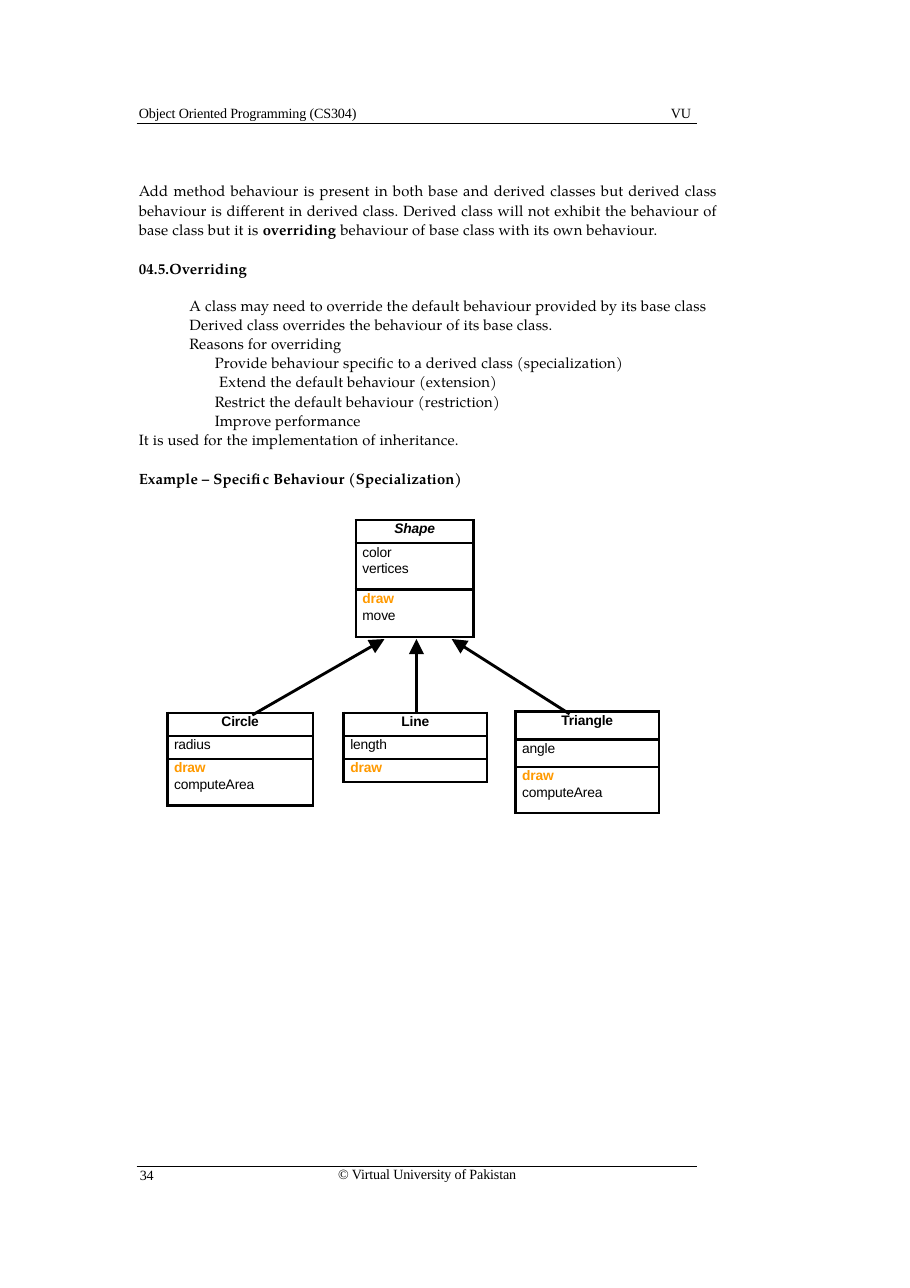
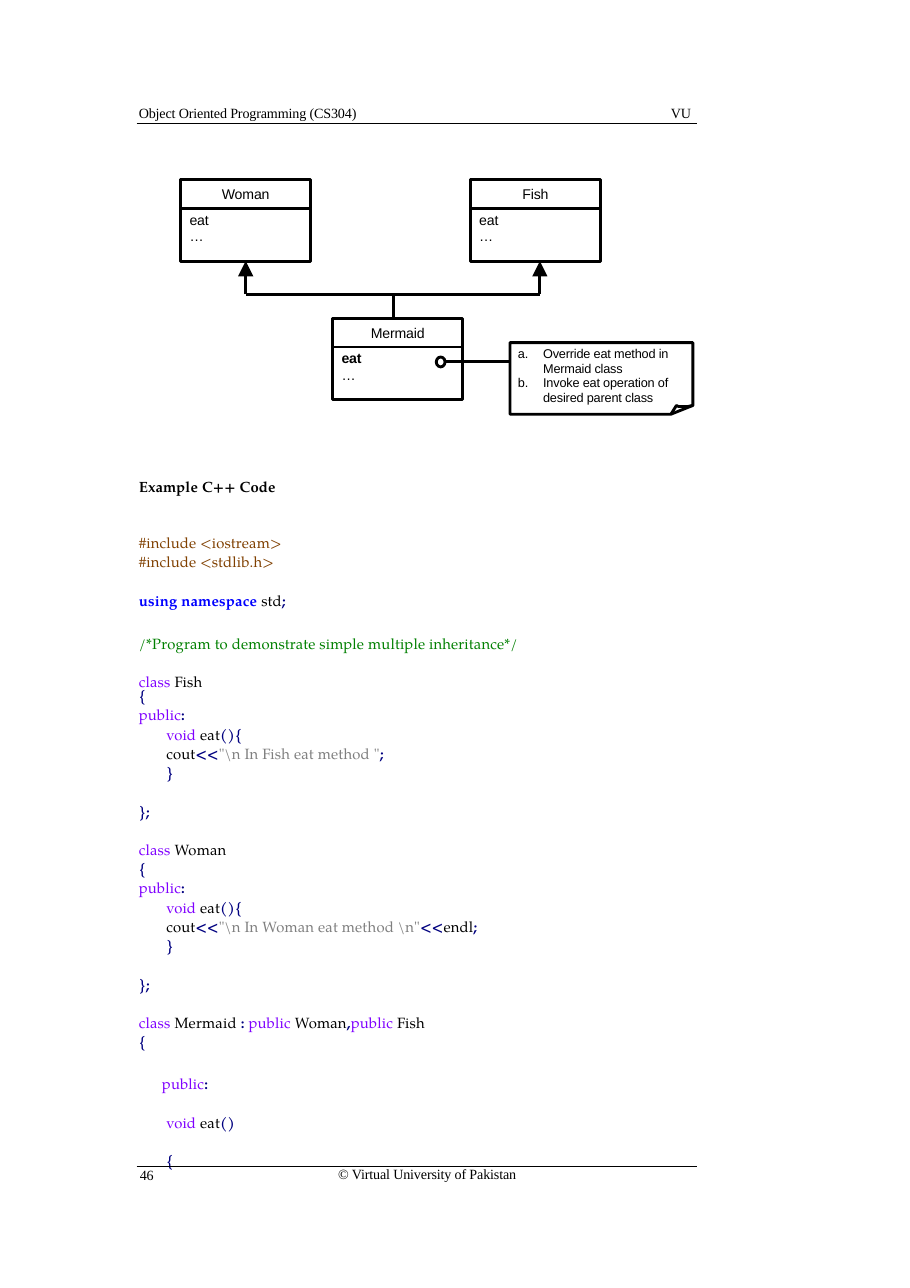
from lxml.etree import SubElement
from pptx import Presentation
from pptx.dml.color import RGBColor
from pptx.enum.shapes import MSO_CONNECTOR, MSO_SHAPE
from pptx.enum.text import MSO_ANCHOR as ANCHOR, MSO_AUTO_SIZE, PP_ALIGN as ALIGN
from pptx.oxml.ns import qn
from pptx.util import Inches, Pt

COLUMNS, ROWS = 826, 1169
CELL = Inches(0.01)
LEFT = 126
COLORS = {
    "text": "000000", "highlight": "FF9A00", "include": "804000", "keyword": "0000FF",
    "symbol": "000080", "comment": "008000", "type": "8000FF", "string": "7F7F7F",
}
BOLD_TOKENS = ("keyword", "symbol")
BODY_FONT, PAGE_FONT, DIAGRAM_FONT = "TeX Gyre Pagella", "Times New Roman", "Arial"
PAGE_STYLE = dict(font=PAGE_FONT, size=9.2, line=10.6, spacing=-10)
CLASS_STYLE = dict(font=DIAGRAM_FONT, size=9.2, line=10.7, spacing=-10)
TABLE_STYLE = dict(font=DIAGRAM_FONT, size=9, line=11, spacing=-10)
NOTE_STYLE = dict(font=DIAGRAM_FONT, size=8.3, line=9.4, spacing=-10)
THIN, THICK = 0.66, 1.88


def place(shape, left, top, width, height, inset=(0, 0), anchor=ANCHOR.TOP):
    shape.left, shape.top = CELL * left, CELL * top
    shape.width, shape.height = CELL * width, CELL * height
    frame = shape.text_frame
    frame.word_wrap = True
    frame.auto_size = MSO_AUTO_SIZE.NONE
    frame.vertical_anchor = anchor
    frame.margin_left, frame.margin_top = CELL * inset[0], CELL * inset[1]
    frame.margin_right = frame.margin_bottom = 0
    return frame


def write(frame, text, font=BODY_FONT, size=9.7, color="text", bold=False, italic=False,
          align=ALIGN.LEFT, line=12.5, before=0, indent=0, hang=0, bullet="buNone", spacing=10):
    para = frame.add_paragraph() if frame.text else frame.paragraphs[0]
    para.alignment = align
    para.line_spacing, para.space_before, para.space_after = Pt(line), Pt(before), Pt(0)
    properties = para._p.get_or_add_pPr()
    properties.set("marL", str(CELL * indent))
    properties.set("indent", str(-CELL * hang))
    mark = SubElement(properties, qn("a:" + bullet))
    if bullet == "buAutoNum":
        mark.set("type", "alphaLcPeriod")
    spans = [(text, color, bold)] if isinstance(text, str) else text
    for words, shade, strong in spans:
        span = para.add_run()
        span.text = words
        span.font.name, span.font.size = font, Pt(size)
        span.font.bold, span.font.italic = strong, italic
        span.font.color.rgb = RGBColor.from_string(COLORS[shade])
        span._r.get_or_add_rPr().set("spc", str(spacing))


deck = Presentation()
deck.slide_width, deck.slide_height = CELL * COLUMNS, CELL * ROWS
connectors = []
pages = []

for number, heading, heading_top in (("34", "04.5.Overriding", 234), ("46", "Example C++ Code", 432)):
    page = deck.slides.add_slide(deck.slide_layouts[1])
    pages.append(page)
    for text, left, top, width in (
        ("Object Oriented Programming (CS304)", LEFT, 95, 240),
        ("VU", 609, 95, 30),
        ("© Virtual University of Pakistan", 307, 1058, 200),
        (number, 127, 1059, 30),
    ):
        write(place(page.shapes.add_textbox(0, 0, 0, 0), left, top, width, 16), text, **PAGE_STYLE)
    for rule_top in (112, 1059):
        connectors.append((page, (124, rule_top, 633, rule_top), THIN, False, None))
    write(place(page.shapes.title, LEFT, heading_top, 400, 18), heading, bold=True)

overriding, mermaid = pages

intro = place(overriding.shapes.add_textbox(0, 0, 0, 0), LEFT, 164, 526, 52)
write(intro, [
    ("Add method behaviour is present in both base and derived classes but derived class behaviour "
     "is different in derived class. Derived class will not exhibit the behaviour of base class "
     "but it is ", "text", False),
    ("overriding", "text", True),
    (" behaviour of base class with its own behaviour.", "text", False),
], align=ALIGN.JUSTIFY)

reasons = place(overriding.placeholders[1], LEFT, 268, 540, 140)
for text, indent in (
    ("A class may need to override the default behaviour provided by its base class", 46),
    ("Derived class overrides the behaviour of its base class.", 46),
    ("Reasons for overriding", 46),
    ("Provide behaviour specific to a derived class (specialization)", 69),
    ("Extend the default behaviour (extension)", 73),
    ("Restrict the default behaviour (restriction)", 69),
    ("Improve performance", 69),
    ("It is used for the implementation of inheritance.", 0),
):
    write(reasons, text, indent=indent)

example = place(overriding.shapes.add_textbox(0, 0, 0, 0), LEFT, 425, 400, 18)
write(example, "Example – Specific Behaviour (Specialization)", bold=True)

for left, top, width, heights, italic, sections in (
    (323, 472, 107, (21, 42, 43), True, (["Shape"], ["color", "vertices"], ["draw", "move"])),
    (152, 647, 132, (21, 21, 42), False, (["Circle"], ["radius"], ["draw", "computeArea"])),
    (312, 647, 130, (21, 21, 21), False, (["Line"], ["length"], ["draw"])),
    (468, 646, 130, (25, 25, 42), False, (["Triangle"], ["angle"], ["draw", "computeArea"])),
):
    table = overriding.shapes.add_table(
        3, 1, CELL * left, CELL * top, CELL * width, CELL * sum(heights)).table
    table.first_row = table.horz_banding = False
    table.columns[0].width = CELL * width
    for index, (height, members) in enumerate(zip(heights, sections)):
        table.rows[index].height = CELL * height
        cell = table.cell(index, 0)
        is_name = index == 0
        cell.margin_top = cell.margin_right = cell.margin_bottom = 0
        cell.margin_left = 0 if is_name else CELL * 6
        for side in ("lnL", "lnR", "lnT", "lnB"):
            border = SubElement(cell._tc.get_or_add_tcPr(), qn("a:" + side), w=str(Pt(THICK)))
            fill = SubElement(border, qn("a:solidFill"))
            SubElement(fill, qn("a:srgbClr"), val=COLORS["text"])
        cell.fill.background()
        for member in members:
            drawn = member == "draw"
            write(cell.text_frame, member, color="highlight" if drawn else "text",
                  bold=is_name or drawn, italic=is_name and italic,
                  align=ALIGN.CENTER if is_name else ALIGN.LEFT, **TABLE_STYLE)

for ends in ((229, 649, 349, 580), (378, 647, 378, 580), (517, 648, 410, 580)):
    connectors.append((overriding, ends, THICK, True, None))

outlines = []
bodies = {}
for name, left, top in (("Woman", 164, 163), ("Fish", 427, 163), ("Mermaid", 302, 289)):
    title_box = mermaid.shapes.add_shape(MSO_SHAPE.RECTANGLE, 0, 0, 0, 0)
    body_box = mermaid.shapes.add_shape(MSO_SHAPE.RECTANGLE, 0, 0, 0, 0)
    write(place(title_box, left, top, 118, 26, anchor=ANCHOR.MIDDLE), name,
          align=ALIGN.CENTER, **CLASS_STYLE)
    members = place(body_box, left, top + 26, 118, 48, inset=(8, 3))
    write(members, "eat", bold=name == "Mermaid", **CLASS_STYLE)
    write(members, "…", **CLASS_STYLE)
    bodies[name] = body_box
    outlines += [title_box, body_box]

for points, closed in (
    (((463, 311), (463, 376), (609, 376), (629, 368), (629, 311)), True),
    (((609, 376), (614, 368), (616, 369), (624, 369), (629, 368)), False),
):
    builder = mermaid.shapes.build_freeform(*points[0], scale=CELL)
    builder.add_line_segments(points[1:], close=closed)
    outlines.append(builder.convert_to_shape())

ring = mermaid.shapes.add_shape(MSO_SHAPE.OVAL, CELL * 396, CELL * 324, CELL * 8, CELL * 9)
for outline in outlines + [ring]:
    outline.shadow.inherit = False
    outline.fill.background()
    outline.line.color.rgb = RGBColor.from_string(COLORS["text"])
    outline.line.width = Pt(THICK)

note = place(mermaid.shapes.add_textbox(0, 0, 0, 0), 469, 315, 146, 54)
for text in ("Override eat method in Mermaid class", "Invoke eat operation of desired parent class"):
    write(note, text, indent=24, hang=23, bullet="buAutoNum", **NOTE_STYLE)

for ends, arrow, target in (
    ((223, 267, 223, 237), True, bodies["Woman"]),
    ((490, 267, 490, 237), True, None),
    ((223, 267, 490, 267), False, None),
    ((357, 267, 357, 289), False, None),
    ((404, 328, 463, 328), False, None),
):
    connectors.append((mermaid, ends, THICK, arrow, target))

public = [("public", "type"), (":", "symbol")]
code = [
    (0, 0, 12.5, [("#include <iostream>", "include")]),
    (0, 0, 12.5, [("#include <stdlib.h>", "include")]),
    (13, 0, 12.5, [("using namespace ", "keyword"), ("std", "text"), (";", "symbol")]),
    (15.6, 0, 12.5, [("/*Program to demonstrate simple multiple inheritance*/", "comment")]),
]
for name, brace_line, message, ending in (
    ("Fish", 9.2, '"\\n In Fish eat method "', [(";", "symbol")]),
    ("Woman", 12.5, '"\\n In Woman eat method \\n"', [("<<", "symbol"), ("endl", "text"), (";", "symbol")]),
):
    code += [
        (12.5, 0, 12.5, [("class ", "type"), (name, "text")]),
        (0, 0, brace_line, [("{", "symbol")]),
        (0, 0, 12.5, public),
        (0, 25, 12.5, [("void ", "type"), ("eat", "text"), ("(){", "symbol")]),
        (0, 25, 12.5, [("cout", "text"), ("<<", "symbol"), (message, "string")] + ending),
        (0, 25, 12.5, [("}", "symbol")]),
        (13, 0, 12.5, [("};", "symbol")]),
    ]
code += [
    (12.5, 0, 12.5, [("class ", "type"), ("Mermaid ", "text"), (": ", "symbol"), ("public ", "type"),
                     ("Woman", "text"), (",", "symbol"), ("public ", "type"), ("Fish", "text")]),
    (0, 0, 12.5, [("{", "symbol")]),
    (15, 21, 12.5, public),
    (12.5, 25, 12.5, [("void ", "type"), ("eat", "text"), ("()", "symbol")]),
    (12.5, 25, 12.5, [("{", "symbol")]),
]
listing = place(mermaid.placeholders[1], LEFT, 483, 450, 580)
for before, indent, line, tokens in code:
    write(listing, [(words, kind, kind in BOLD_TOKENS) for words, kind in tokens],
          before=before, indent=indent, line=line)

for page, ends, weight, arrow, target in connectors:
    connector = page.shapes.add_connector(MSO_CONNECTOR.STRAIGHT, *(CELL * end for end in ends))
    if target is not None:
        connector.end_connect(target, 2)
    connector.line.color.rgb = RGBColor.from_string(COLORS["text"])
    connector.line.width = Pt(weight)
    properties = connector._element.spPr
    if arrow:
        SubElement(properties.find(qn("a:ln")), qn("a:tailEnd"), type="triangle", w="lg", len="lg")
    SubElement(properties, qn("a:effectLst"))

deck.save("out.pptx")
